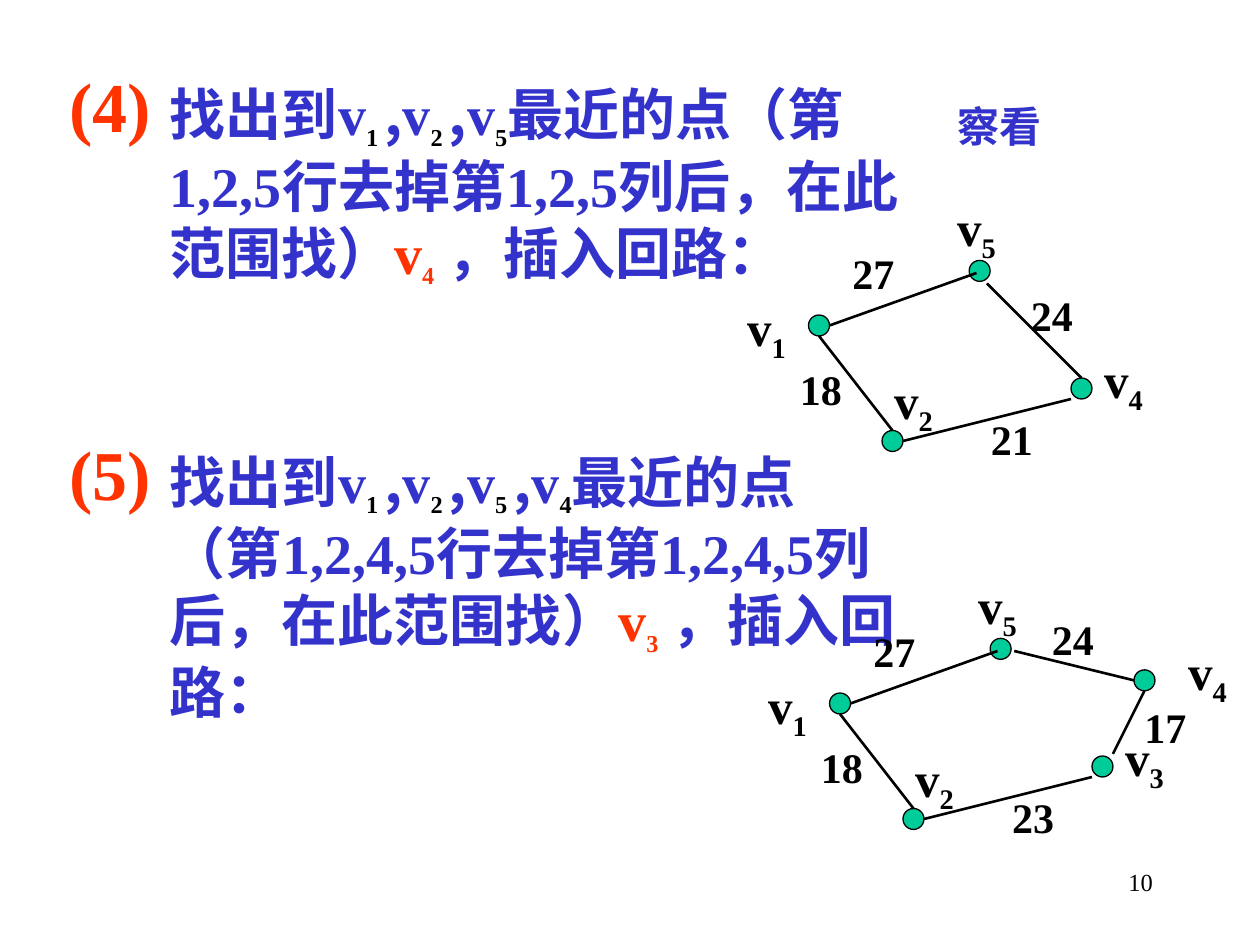
from pptx import Presentation
from pptx.dml.color import RGBColor
from pptx.enum.shapes import MSO_CONNECTOR, MSO_SHAPE
from pptx.enum.text import MSO_ANCHOR, MSO_AUTO_SIZE, PP_ALIGN
from pptx.oxml.ns import qn
from pptx.util import Inches, Pt
from lxml.etree import SubElement

BLUE = RGBColor(0x33, 0x33, 0xCC)
RED = RGBColor(0xFF, 0x33, 0x00)
GREEN = RGBColor(0x00, 0xCC, 0x99)
BLACK = RGBColor(0x00, 0x00, 0x00)
SERIF = "Times New Roman"
CJK = "Noto Sans CJK SC"
COLS_PER_INCH = 12


def grid(*units):
    return [Inches(u / COLS_PER_INCH) for u in units]


def add_run(p, text, size, color=BLACK, font=SERIF, bold=True, sub=False):
    r = p.add_run()
    r.text = text
    r.font.size, r.font.bold, r.font.name = Pt(size), bold, font
    r.font.color.rgb = color
    rPr = r._r.get_or_add_rPr()
    SubElement(rPr, qn("a:ea")).set("typeface", font)
    if sub:
        rPr.set("baseline", "-25000")


def add_text(shapes, x, y, w, h, grow=True):
    tf = shapes.add_textbox(*grid(x, y, w, h)).text_frame
    tf.word_wrap = True
    tf.auto_size = MSO_AUTO_SIZE.SHAPE_TO_FIT_TEXT if grow else MSO_AUTO_SIZE.NONE
    return tf.paragraphs[0]


def add_oval(shapes, x, y, w, h):
    sp = shapes.add_shape(MSO_SHAPE.OVAL, *grid(x, y, w, h))
    sp.shadow.inherit = False
    return sp


def add_label(shapes, x, y, w, h):
    sp = add_oval(shapes, x, y, w, h)
    sp.fill.background()
    sp.line.fill.background()
    tf = sp.text_frame
    tf.word_wrap = False
    tf.vertical_anchor = MSO_ANCHOR.MIDDLE
    p = tf.paragraphs[0]
    p.alignment = PP_ALIGN.CENTER
    return p


def add_node(shapes, x, y):
    sp = add_oval(shapes, x, y, 2, 2)
    sp.fill.solid()
    sp.fill.fore_color.rgb = GREEN
    sp.line.color.rgb = BLACK
    sp.line.width = Pt(0.75)


def add_edge(shapes, x1, y1, x2, y2):
    line = shapes.add_connector(MSO_CONNECTOR.STRAIGHT, *grid(x1, y1, x2, y2))
    line.line.color.rgb = BLACK
    line.line.width = Pt(1.5)
    SubElement(line._element.spPr, qn("a:effectLst"))


def add_tour(s, x, y, nodes, edges, names, weights):
    shapes = s.shapes.add_group_shape().shapes
    for nx, ny in nodes:
        add_node(shapes, x + nx, y + ny)
    for x1, y1, x2, y2 in edges:
        add_edge(shapes, x + x1, y + y1, x + x2, y + y2)
    for index, nx, ny, height in names:
        p = add_label(shapes, x + nx, y + ny, 6, height)
        add_run(p, "v", 28)
        add_run(p, index, 28, sub=True)
    for weight, wx, wy in weights:
        add_run(add_text(shapes, x + wx, y + wy, 8, 6), weight, 24)


def add_step(s, y, height, number, visited, found):
    add_run(add_label(s.shapes, 7, y, 7, 8), f"({number})", 40, RED)
    p = add_text(s.shapes, 15, y + 1, 72, height)
    add_run(p, "找出到", 32, BLUE, CJK)
    for i, index in enumerate(visited):
        if i:
            add_run(p, ",", 32, BLUE, CJK)
        add_run(p, "v", 32, BLUE)
        last = i == len(visited) - 1
        add_run(p, index if last else index + " ", 24, sub=True)
    indices = ",".join(sorted(visited))
    add_run(p, "最近的点（第", 32, BLUE, CJK)
    add_run(p, indices, 32, BLUE)
    add_run(p, "行去掉第", 32, BLUE, CJK)
    add_run(p, indices, 32, BLUE)
    add_run(p, "列后，在此范围找）", 32, BLUE, CJK)
    add_run(p, "v", 32, RED)
    add_run(p, found, 24, RED, sub=True)
    add_run(p, " ，插入回路：", 32, BLUE, CJK)


def main():
    prs = Presentation()
    prs.slide_width, prs.slide_height = Inches(10), Inches(7.5)
    s = prs.slides.add_slide(prs.slide_layouts[6])

    nodes = [(7, 11), (14, 22), (22.3, 5.8), (32, 17)]
    edges = [(9, 12, 23, 7), (16, 23, 32, 19), (8, 13, 15, 22)]
    names = [("1", 0, 10, 5), ("2", 14, 17, 5), ("5", 20, 0, 6)]
    weights = [("18", 5, 15), ("27", 10, 4)]

    add_step(s, 6, 21.2, 4, "125", "4")
    add_tour(s, 70, 19, nodes,
             edges + [(24, 8, 33, 17)],
             names + [("4", 34, 15, 5)],
             weights + [("21", 23.2, 19.8), ("24", 27, 8)])

    add_step(s, 41, 27.6, 5, "1254", "3")
    add_tour(s, 72, 55, nodes + [(36, 8.8)],
             edges + [(24.6, 7, 36, 9.8), (34, 16.8, 37, 10.8)],
             names + [("3", 34, 15, 5), ("4", 40, 6.8, 5)],
             weights + [("23", 23.2, 19.8), ("24", 27, 2.8), ("17", 35.8, 11.2)])

    add_run(add_text(s.shapes, 90, 9, 12, 6), "察看", 24, BLUE, CJK)
    p = add_text(s.shapes, 86, 82, 25, 6, grow=False)
    p.alignment = PP_ALIGN.RIGHT
    add_run(p, "10", 14, bold=False)

    prs.save("out.pptx")


if __name__ == "__main__":
    main()
